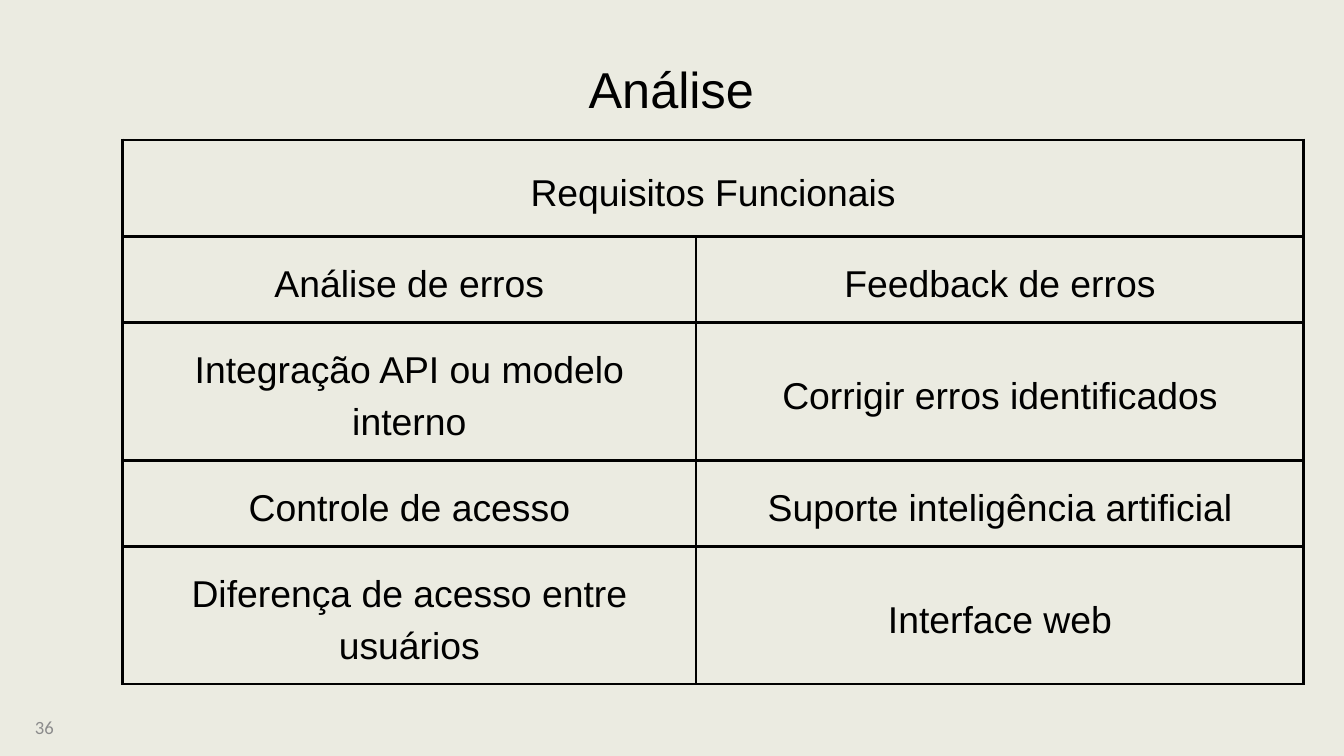
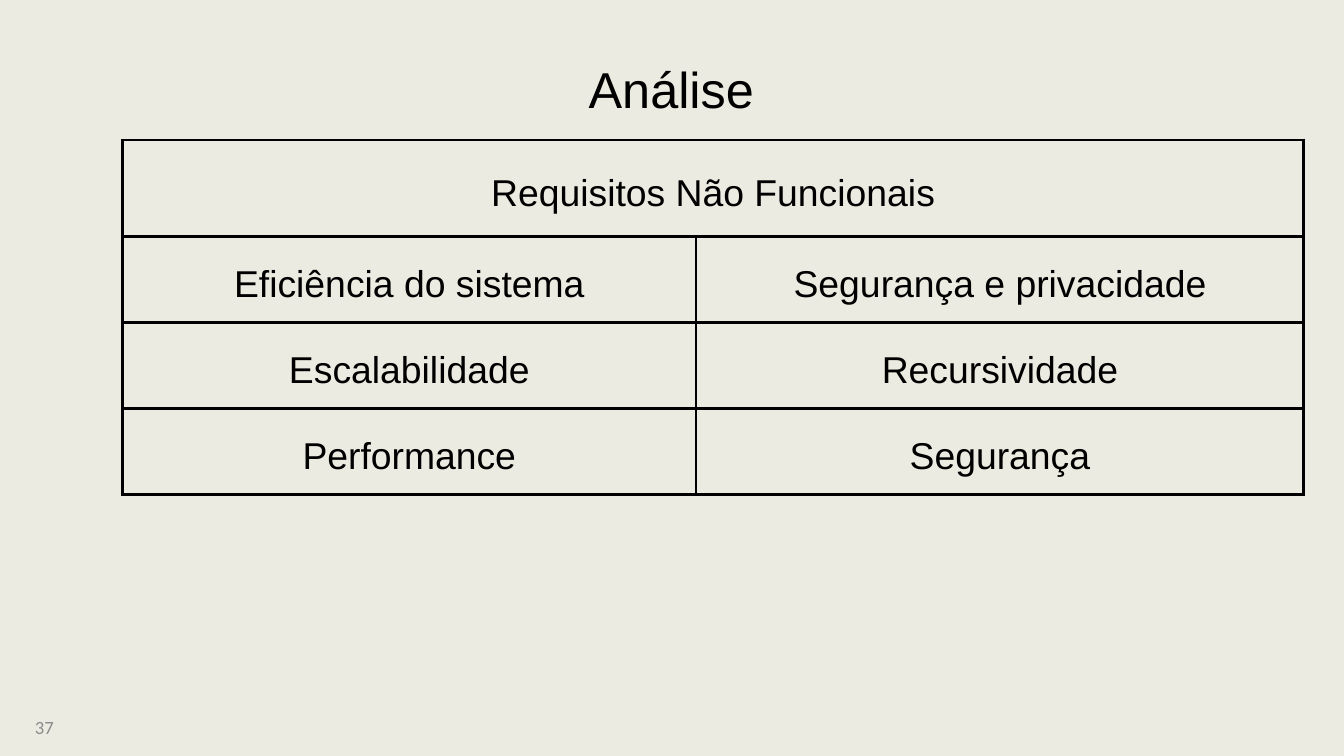
from lxml import etree
from pptx import Presentation
from pptx.dml.color import RGBColor
from pptx.enum.text import MSO_ANCHOR, MSO_AUTO_SIZE, PP_ALIGN
from pptx.oxml.ns import qn
from pptx.util import Inches, Pt

CENTER, LEFT = PP_ALIGN.CENTER, PP_ALIGN.LEFT
TOP, MIDDLE = MSO_ANCHOR.TOP, MSO_ANCHOR.MIDDLE
FIXED = MSO_AUTO_SIZE.NONE

# Slide grid: one column and one row are each an inch
COLS, ROWS = 20, 11.25
COLORS = {"paper": "EBEBE1", "ink": "000000", "muted": "8C8C8C"}

# Shared boxes: left, top, width, height
TITLE_BOX = (1.18, 0.86, 17.62, 1.01)
NUM_BOX = (0.42, 10.62, 2.33, 0.4)
GRID_AT = (1.82, 2.08)
GRID_COLS = (8.54, 9.04)
HEAD, LINE, TALL = 1.44, 1.28, 2.05  # row heights
PAD, RULE = 0.21, 3

# Text styles: font, size, colour, alignment, line spacing
STYLES = {
    "title": ("Arial", 54, "ink", CENTER, 64.8),
    "cell": ("Arial", 40, "ink", CENTER, 56),
    "num": ("Calibri", 20, "muted", LEFT, None),
}

FIRST = 36
SLIDES = [
    ("Análise", "Requisitos Funcionais", [
        (LINE, "Análise de erros", "Feedback de erros"),
        (TALL, "Integração API ou modelo interno",
         "Corrigir erros identificados"),
        (LINE, "Controle de acesso", "Suporte inteligência artificial"),
        (TALL, "Diferença de acesso entre usuários", "Interface web"),
    ]),
    ("Análise", "Requisitos Não Funcionais", [
        (LINE, "Eficiência do sistema", "Segurança e privacidade"),
        (LINE, "Escalabilidade", "Recursividade"),
        (LINE, "Performance", "Segurança"),
    ]),
]


def color(name):
    return RGBColor.from_string(COLORS[name])


def assign(item, values):
    for name, value in values.items():
        setattr(item, name, value)


def write(frame, text, style):
    face, size, tone, align, space = STYLES[style]
    frame.text = text
    para = frame.paragraphs[0]
    para.alignment = align
    if space:
        para.line_spacing = Pt(space)
    font = para.runs[0].font
    assign(font, {"name": face, "size": Pt(size), "bold": False})
    font.color.rgb = color(tone)


def add_title(slide, text, box):
    title = slide.shapes.title
    names = ("left", "top", "width", "height")
    assign(title, dict(zip(names, map(Inches, box))))
    frame = title.text_frame
    sides = ("left", "right", "top", "bottom")
    assign(frame, {f"margin_{side}": 0 for side in sides})
    assign(frame, {"vertical_anchor": TOP, "auto_size": FIXED,
                   "word_wrap": True})
    write(frame, text, "title")


def add_number(slide, number, box):
    frame = slide.shapes.add_textbox(*map(Inches, box)).text_frame
    assign(frame, {"vertical_anchor": MIDDLE, "word_wrap": True})
    write(frame, str(number), "num")


def add_borders(cell):
    props = cell._tc.get_or_add_tcPr()
    for i, side in enumerate(("lnL", "lnR", "lnT", "lnB")):
        line = etree.Element(qn(f"a:{side}"), w=str(Pt(RULE)))
        fill = etree.SubElement(line, qn("a:solidFill"))
        etree.SubElement(fill, qn("a:srgbClr"), val=COLORS["ink"])
        props.insert(i, line)  # borders come before the cell fill


def format_cell(cell):
    sides = ("left", "right", "top", "bottom")
    assign(cell, {f"margin_{side}": Inches(PAD) for side in sides})
    cell.vertical_anchor = MIDDLE
    cell.fill.background()
    add_borders(cell)


def add_grid(slide, head, rows, at, widths):
    heights = [HEAD] + [row[0] for row in rows]
    size = (sum(widths), sum(heights))
    table = slide.shapes.add_table(
        len(heights), len(widths), *map(Inches, at + size)).table
    assign(table, {"first_row": False, "horz_banding": False})
    for col, width in zip(table.columns, widths):
        col.width = Inches(width)
    for row, height in zip(table.rows, heights):
        row.height = Inches(height)
    for cell in table.iter_cells():
        format_cell(cell)

    # Heading across all columns, then the requirements
    first = table.cell(0, 0)
    first.merge(table.cell(0, len(widths) - 1))
    write(first.text_frame, head, "cell")
    for r, (_, *texts) in enumerate(rows, 1):
        for c, text in enumerate(texts):
            write(table.cell(r, c).text_frame, text, "cell")


def main():
    prs = Presentation()
    assign(prs, {"slide_width": Inches(COLS), "slide_height": Inches(ROWS)})
    back = prs.slide_master.background.fill
    back.solid()
    back.fore_color.rgb = color("paper")
    layout = prs.slide_layouts.get_by_name("Title Only")

    for number, (title, head, rows) in enumerate(SLIDES, FIRST):
        slide = prs.slides.add_slide(layout)
        add_grid(slide, head, rows, GRID_AT, GRID_COLS)
        add_title(slide, title, TITLE_BOX)
        add_number(slide, number, NUM_BOX)
    prs.save("out.pptx")


if __name__ == "__main__":
    main()
